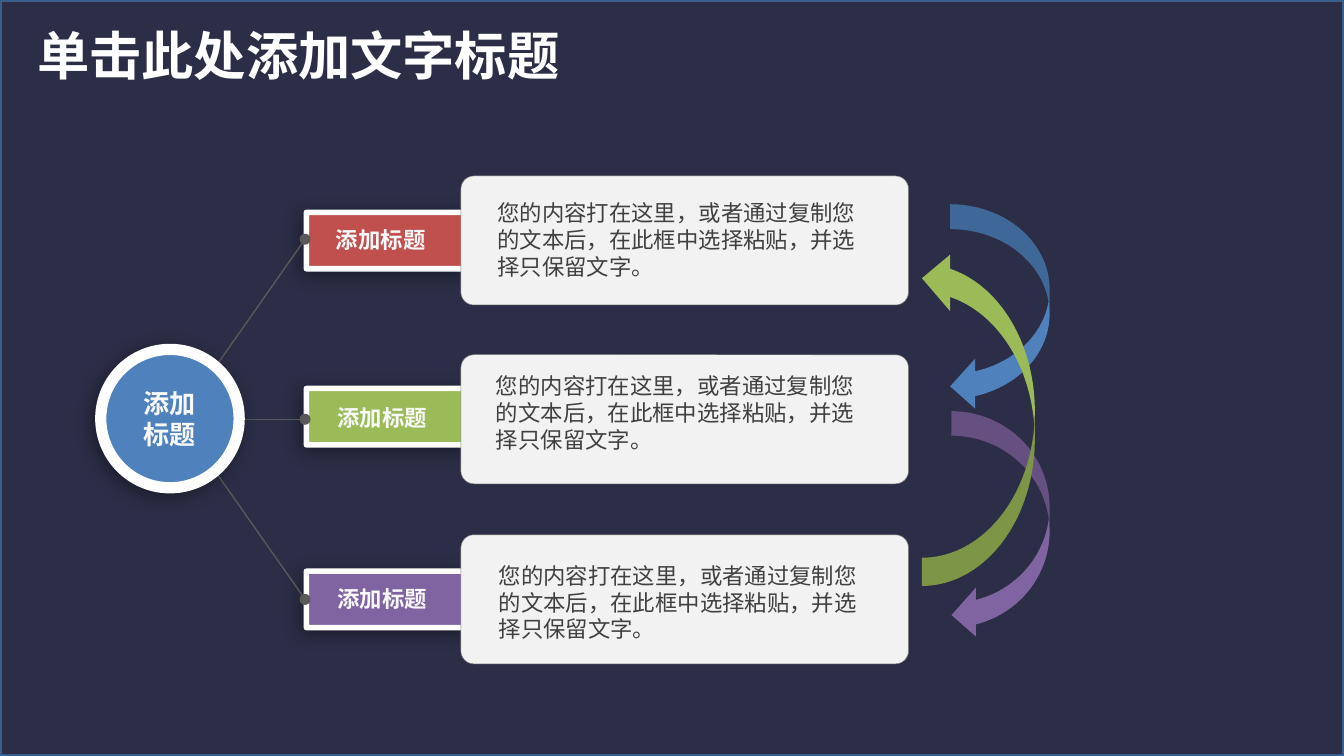
import pptx
import pptx.dml.color
import pptx.enum.shapes
import pptx.enum.text
import pptx.oxml
import pptx.oxml.ns
import pptx.util
from pptx.util import Inches

SHAPE = pptx.enum.shapes.MSO_SHAPE
ALIGN = pptx.enum.text.PP_ALIGN
WIDTH = 10
HEIGHT = WIDTH * 9 / 16
NAVY, WHITE, SOFT_WHITE, DARK = "2C2E47", "FFFFFF", "F8F8F8", "404040"
RED, GREEN, PURPLE, BLUE = "C0504D", "9BBB59", "8064A2", "4F81BD"
BODY = "您的内容打在这里，或者通过复制您的文本后，在此框中选择粘贴，并选择只保留文字。"
HUB = (1.33, 3.12)

# Per row: colour, tag top, tag text box, card top, body text corner
ROWS = [
    (RED, 1.58, (2.43, 1.65, 1.16, 0.27), 1.31, (3.63, 1.52)),
    (GREEN, 2.89, (2.44, 2.97, 1.15, 0.27), 2.64, (3.62, 2.81)),
    (PURPLE, 4.25, (2.44, 4.32, 1.15, 0.27), 3.98, (3.64, 4.22)),
]


def rgb(color):
    return pptx.dml.color.RGBColor.from_string(color)


def xml(tag, content="", **attributes):
    values = "".join(f' {key}="{value}"' for key, value in attributes.items())
    return f"<a:{tag} {pptx.oxml.ns.nsdecls('a')}{values}>{content}</a:{tag}>"


def append_xml(parent, text):
    parent.append(pptx.oxml.parse_xml(text))


def add_shadow(shape):
    color = '<a:srgbClr val="000000"><a:alpha val="40000"/></a:srgbClr>'
    shadow = xml("outerShdw", color, blurRad=pptx.util.Pt(10), dist=pptx.util.Pt(3),
                 dir=135 * 60000, algn="tr", rotWithShape=0)
    effects = shape._element.spPr.find(pptx.oxml.ns.qn("a:effectLst"))
    append_xml(effects, shadow)


def add_block(slide, kind, box, fill, line=None, width=0):
    block = slide.shapes.add_shape(kind, *map(Inches, box))
    block.shadow.inherit = False
    block.fill.solid()
    block.fill.fore_color.rgb = rgb(fill)
    if line:
        block.line.color.rgb = rgb(line)
        block.line.width = pptx.util.Pt(width)
    else:
        block.line.fill.background()
    return block


def write(shape, lines, size, color, bold=False, font="Calibri",
          align=ALIGN.LEFT, wrap=True, insets=(0.07, 0.03)):
    frame = shape.text_frame
    side, edge = map(Inches, insets)
    frame_format = {
        "word_wrap": wrap,
        "vertical_anchor": pptx.enum.text.MSO_ANCHOR.MIDDLE,
        "margin_left": side, "margin_right": side,
        "margin_top": edge, "margin_bottom": edge,
    }
    for key, value in frame_format.items():
        setattr(frame, key, value)
    font_format = {"size": pptx.util.Pt(size), "bold": bold, "name": font}
    frame.text = "\n".join(lines)
    for paragraph in frame.paragraphs:
        paragraph.alignment = align
        run = paragraph.runs[0]
        for key, value in font_format.items():
            setattr(run.font, key, value)
        run.font.color.rgb = rgb(color)
        append_xml(run.font._element, xml("ea", typeface=font))


def add_label(slide, box, text, size, color, **style):
    write(slide.shapes.add_textbox(*map(Inches, box)), [text], size, color, **style)


def add_spoke(slide, start, end):
    spoke = slide.shapes.add_connector(
        pptx.enum.shapes.MSO_CONNECTOR.STRAIGHT, *map(Inches, start + end))
    spoke.line.color.rgb = rgb("595959")
    spoke.line.width = pptx.util.Pt(0.75)
    for end_tag in ("headEnd", "tailEnd"):
        append_xml(spoke.line._get_or_add_ln(), xml(end_tag, type="oval"))
    append_xml(spoke._element.spPr, xml("effectLst"))


def add_loop_arrow(slide, box, color):
    return add_block(slide, SHAPE.CURVED_LEFT_ARROW, box, color)


def main():
    deck = pptx.Presentation()
    deck.slide_width, deck.slide_height = Inches(WIDTH), Inches(HEIGHT)
    slide = deck.slides.add_slide(deck.slide_layouts[6])
    slide.background.fill.solid()
    slide.background.fill.fore_color.rgb = rgb(NAVY)

    # Framed backdrop and title
    add_block(slide, SHAPE.RECTANGLE, (0, 0, WIDTH, HEIGHT), NAVY, "3A5F8C", 2)
    add_label(slide, (0.18, 0.12, 4.13, 0.57), "单击此处添加文字标题", 28, WHITE,
              bold=True, font="Noto Sans CJK SC", wrap=False, insets=(0.1, 0.05))

    # Coloured tags
    for color, top, text_box, _, _ in ROWS:
        tag = add_block(slide, SHAPE.PENTAGON, (2.28, top, 1.38, 0.42), color, WHITE, 3)
        add_shadow(tag)
        add_label(slide, text_box, "添加标题", 12, SOFT_WHITE, bold=True)

    # Spokes and hub
    for end_y in (1.78, 4.46, 3.12):
        add_spoke(slide, HUB, (2.27, end_y))
    hub = add_block(slide, SHAPE.OVAL, (0.75, 2.6, 1.03, 1.03), BLUE, WHITE, 6)
    add_shadow(hub)
    write(hub, ["添加", "标题"], 14, SOFT_WHITE, bold=True, align=ALIGN.CENTER)

    # Loop arrows; the green one runs upwards
    add_loop_arrow(slide, (7.07, 1.52, 0.74, 1.54), BLUE)
    add_loop_arrow(slide, (7.08, 3.06, 0.73, 1.7), PURPLE)
    upward = add_loop_arrow(slide, (6.86, 1.86, 0.84, 2.5), GREEN)
    upward.rotation = 180
    upward._element.spPr.xfrm.set("flipH", "1")

    # Cards with body text
    for _, _, _, top, corner in ROWS:
        card = add_block(slide, SHAPE.ROUNDED_RECTANGLE, (3.43, top, 3.33, 0.96),
                         "F2F2F2", "808080", 0.25)
        card.adjustments[0] = 0.1
        add_label(slide, corner + (2.91, 0.52), BODY, 12, DARK)

    deck.save("out.pptx")


if __name__ == "__main__":
    main()
